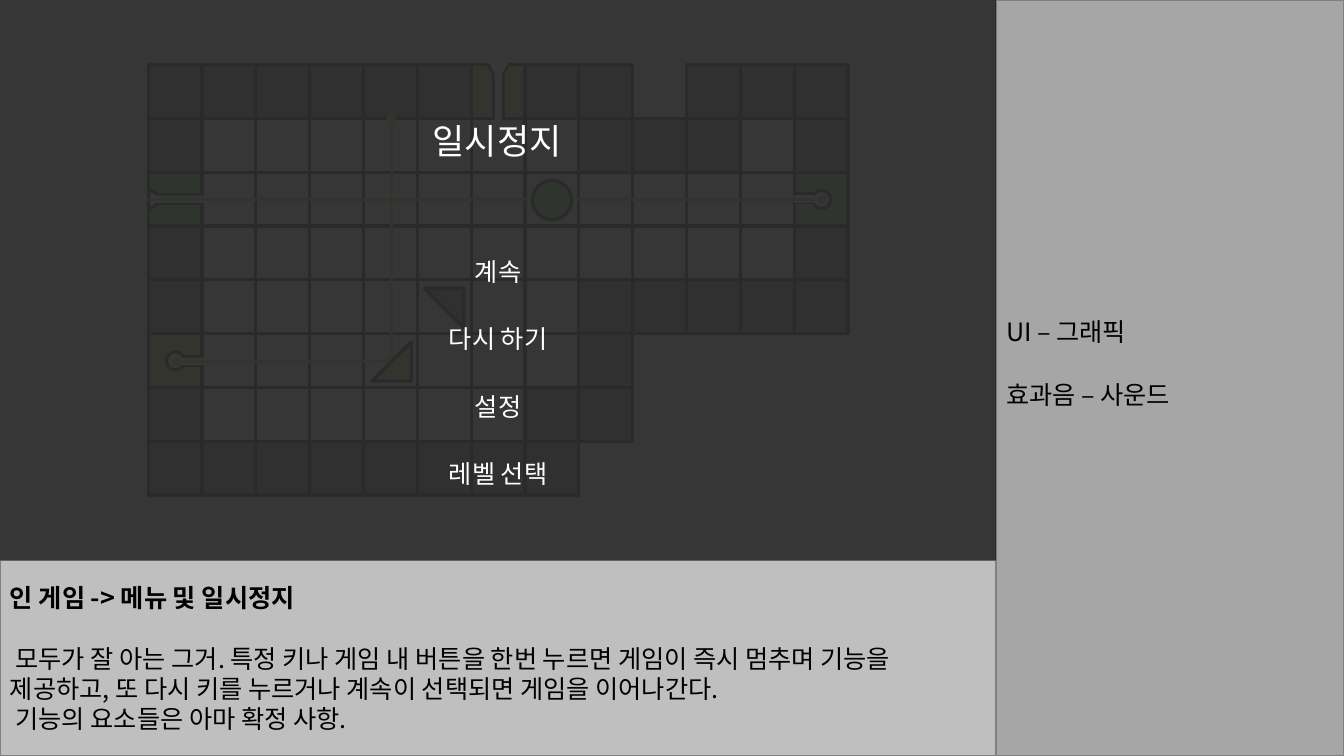
"""Build the pause-menu slide of a puzzle game design document."""
from dataclasses import dataclass
from typing import Any, Optional

from lxml import etree
from pptx import Presentation
from pptx import util as u
from pptx.dml.color import RGBColor
from pptx.enum import shapes, text
from pptx.oxml import ns

FONT = "Noto Sans CJK KR"
WALL, EDGE, WHITE, BLACK = "A6A6A6", "595959", "FFFFFF", "000000"
YELLOW, GREEN = "E2E29E", "A6DEA2"
BOARD_LEFT, BOARD_TOP, CELL = 1.47, 0.64, 0.534
BOARD = (
    "######Y## ###",
    "#.......###.#",
    "G...........G",
    "#...........#",
    "#.......#####",
    "Y.......#",
    "#......##",
    "########",
)
CELL_FILLS = {"#": WALL, ".": None, "Y": YELLOW, "G": GREEN}
KIND = shapes.MSO_SHAPE
MIDDLE, TOP = text.MSO_ANCHOR.MIDDLE, text.MSO_ANCHOR.TOP
LEFT, CENTER = text.PP_ALIGN.LEFT, text.PP_ALIGN.CENTER


@dataclass(frozen=True)
class Piece:
    """A filled preset shape, with lengths in inches."""

    left: float
    top: float
    width: float
    height: float
    fill: Optional[str]
    line: Optional[str] = EDGE
    weight: float = 2.25
    kind: Any = KIND.RECTANGLE
    rotation: float = 0


@dataclass(frozen=True)
class Beam:
    """A straight beam between two points, with round ends."""

    start: tuple[float, float]
    end: tuple[float, float]
    color: str
    ends: tuple[str, ...] = ("headEnd", "tailEnd")


@dataclass(frozen=True)
class Line:
    """One paragraph of text and its format."""

    words: str
    color: str = BLACK
    size: float = 18
    bold: bool = False
    before: float = 0
    align: Any = LEFT


GATES = (
    Piece(1.8, 3.54, 0.21, 0.09, WHITE),
    Piece(1.65, 3.49, 0.18, 0.18, WHITE, kind=KIND.OVAL),
    Piece(1.8, 3.55, 0.22, 0.07, WHITE, None),
    Piece(4.9, 0.74, 0.09, 0.43, WHITE),
    Piece(4.84, 0.64, 0.2, 0.17, WHITE, kind=KIND.ISOSCELES_TRIANGLE, rotation=180),
    Piece(4.91, 0.69, 0.07, 0.51, WHITE, None),
    Piece(4.84, 0.61, 0.21, 0.18, WHITE, None, kind=KIND.ISOSCELES_TRIANGLE, rotation=180),
    Piece(7.88, 1.92, 0.21, 0.09, WHITE),
    Piece(8.06, 1.89, 0.18, 0.18, WHITE, kind=KIND.OVAL),
    Piece(7.87, 1.94, 0.22, 0.07, WHITE, None),
    Piece(1.46, 1.89, 0.2, 0.17, WHITE, kind=KIND.ISOSCELES_TRIANGLE, rotation=90),
    Piece(1.57, 1.93, 0.43, 0.09, WHITE),
    Piece(1.55, 1.94, 0.49, 0.07, WHITE, None),
)
BEAMS = (
    Beam((1.75, 3.59), (3.88, 3.58), YELLOW),
    Beam((3.88, 3.58), (3.88, 1.18), YELLOW),
    Beam((8.16, 1.98), (1.47, 1.98), GREEN, ("headEnd",)),
)
MIRRORS = (
    Piece(4.21, 2.86, 0.39, 0.39, WALL, kind=KIND.DIAGONAL_STRIPE, rotation=90),
    Piece(5.28, 1.79, 0.39, 0.39, GREEN, kind=KIND.OVAL),
    Piece(3.69, 3.39, 0.39, 0.39, YELLOW, kind=KIND.DIAGONAL_STRIPE, rotation=180),
)
DESCRIPTION = (
    Line("인 게임 -> 메뉴 및 일시정지", bold=True),
    Line(" 모두가 잘 아는 그거. 특정 키나 게임 내 버튼을 한번 누르면 게임이 즉시 멈추며 기능을 "
         "제공하고, 또 다시 키를 누르거나 계속이 선택되면 게임을 이어나간다.", before=21.5),
    Line(" 기능의 요소들은 아마 확정 사항."),
)
RESOURCES = (Line("UI – 그래픽"), Line("효과음 – 사운드", before=23))
MENU = ("계속", "다시 하기", "설정", "레벨 선택")


def rgb(color: str) -> RGBColor:
    """Turn a hex string into a colour."""
    return RGBColor.from_string(color)


def apply(target: Any, values: dict[str, Any]) -> None:
    """Set every named attribute on the target."""
    for name, value in values.items():
        setattr(target, name, value)


def draw_piece(page: Any, piece: Piece) -> Any:
    """Draw one preset shape."""
    shape = page.shapes.add_shape(piece.kind, *map(
        u.Inches, (piece.left, piece.top, piece.width, piece.height)))
    shape.shadow.inherit = False
    shape.rotation = piece.rotation
    if piece.kind == KIND.DIAGONAL_STRIPE:
        shape.adjustments[0] = 0
    if piece.fill:
        shape.fill.solid()
        shape.fill.fore_color.rgb = rgb(piece.fill)
    else:
        shape.fill.background()
    if piece.line:
        shape.line.color.rgb = rgb(piece.line)
        shape.line.width = u.Pt(piece.weight)
    else:
        shape.line.fill.background()
    return shape


def draw_board(page: Any) -> None:
    """Draw the cells of the board map."""
    for row, marks in enumerate(BOARD):
        for column, mark in enumerate(marks):
            if mark in CELL_FILLS:
                draw_piece(page, Piece(BOARD_LEFT + column * CELL, BOARD_TOP + row * CELL,
                                       CELL, CELL, CELL_FILLS[mark]))


def draw_beam(page: Any, beam: Beam) -> None:
    """Draw one beam with its round ends."""
    connector = page.shapes.add_connector(
        shapes.MSO_CONNECTOR.STRAIGHT, *map(u.Inches, beam.start + beam.end))
    connector.line.color.rgb = rgb(beam.color)
    connector.line.width = u.Pt(2.25)
    outline = connector.line._get_or_add_ln()
    for end in beam.ends:
        etree.SubElement(outline, ns.qn(f"a:{end}"), type="oval")
    etree.SubElement(connector._element.spPr, ns.qn("a:effectLst"))


def write(shape: Any, lines: tuple[Line, ...], **frame: Any) -> None:
    """Fill a shape with formatted paragraphs."""
    box = shape.text_frame
    apply(box, {"word_wrap": True, "auto_size": text.MSO_AUTO_SIZE.NONE,
                "vertical_anchor": MIDDLE, **frame})
    for index, line in enumerate(lines):
        para = box.add_paragraph() if index else box.paragraphs[0]
        apply(para, {"alignment": line.align, "space_before": u.Pt(line.before)})
        span = para.add_run()
        span.text = line.words
        apply(span.font, {"name": FONT, "size": u.Pt(line.size), "bold": line.bold})
        span.font.color.rgb = rgb(line.color)
        etree.SubElement(span.font._element, ns.qn("a:ea"), typeface=FONT)


def draw_menu(page: Any) -> None:
    """Draw the dark veil, the pause title and the menu entries."""
    veil = draw_piece(page, Piece(0, 0, 9.88, 5.56, "262626", None))
    tint = veil.fill._xPr.find(".//" + ns.qn("a:srgbClr"))
    etree.SubElement(tint, ns.qn("a:alpha"), val="92000")
    title = page.shapes.title
    apply(title, {"left": u.Inches(4.13), "top": u.Inches(1.14),
                  "width": u.Inches(1.6), "height": u.Inches(0.52)})
    page.shapes._spTree.append(title._element)
    write(title, (Line("일시정지", WHITE, 25, align=CENTER),),
          word_wrap=False, vertical_anchor=TOP)
    for index, entry in enumerate(MENU):
        box = page.shapes.add_textbox(*map(u.Inches, (4.29, 2.49 + index * 0.67, 1.3, 0.4)))
        write(box, (Line(entry, WHITE, align=CENTER),), word_wrap=False, vertical_anchor=TOP)


def main() -> None:
    """Build and save the deck."""
    deck = Presentation()
    apply(deck, {"slide_width": u.Inches(13.33), "slide_height": u.Inches(7.5)})
    page = deck.slides.add_slide(deck.slide_layouts[5])
    draw_piece(page, Piece(0, 0, 9.88, 5.56, "F2F2F2", None))
    write(draw_piece(page, Piece(0, 5.56, 9.88, 1.94, "BFBFBF", "808080", 1)), DESCRIPTION)
    write(draw_piece(page, Piece(9.88, 0, 3.45, 7.5, WALL, "808080", 1)), RESOURCES,
          margin_bottom=u.Inches(0.35))
    draw_board(page)
    for gate in GATES:
        draw_piece(page, gate)
    for beam in BEAMS:
        draw_beam(page, beam)
    for mirror in MIRRORS:
        draw_piece(page, mirror)
    draw_menu(page)
    deck.save("out.pptx")


main()
